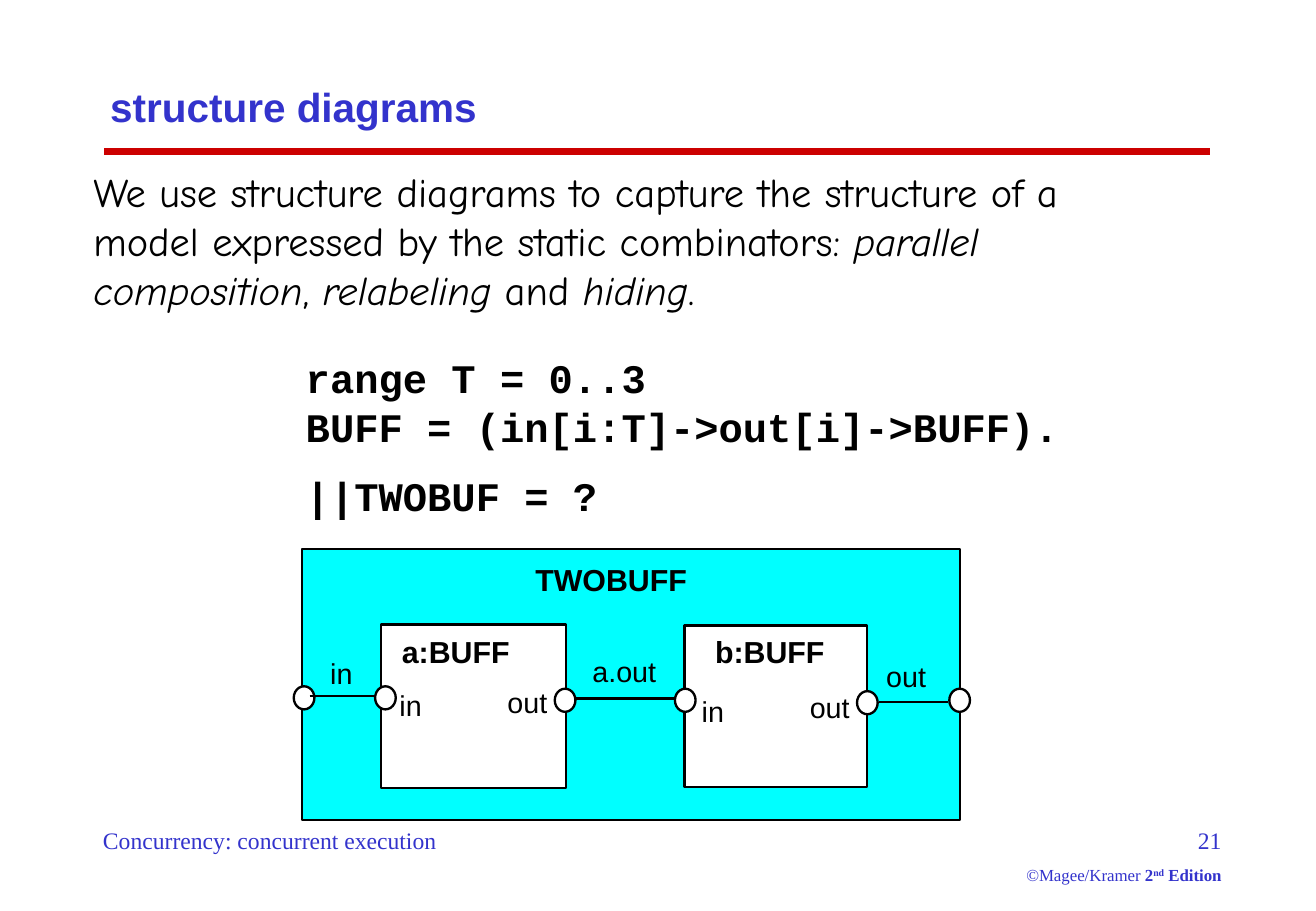
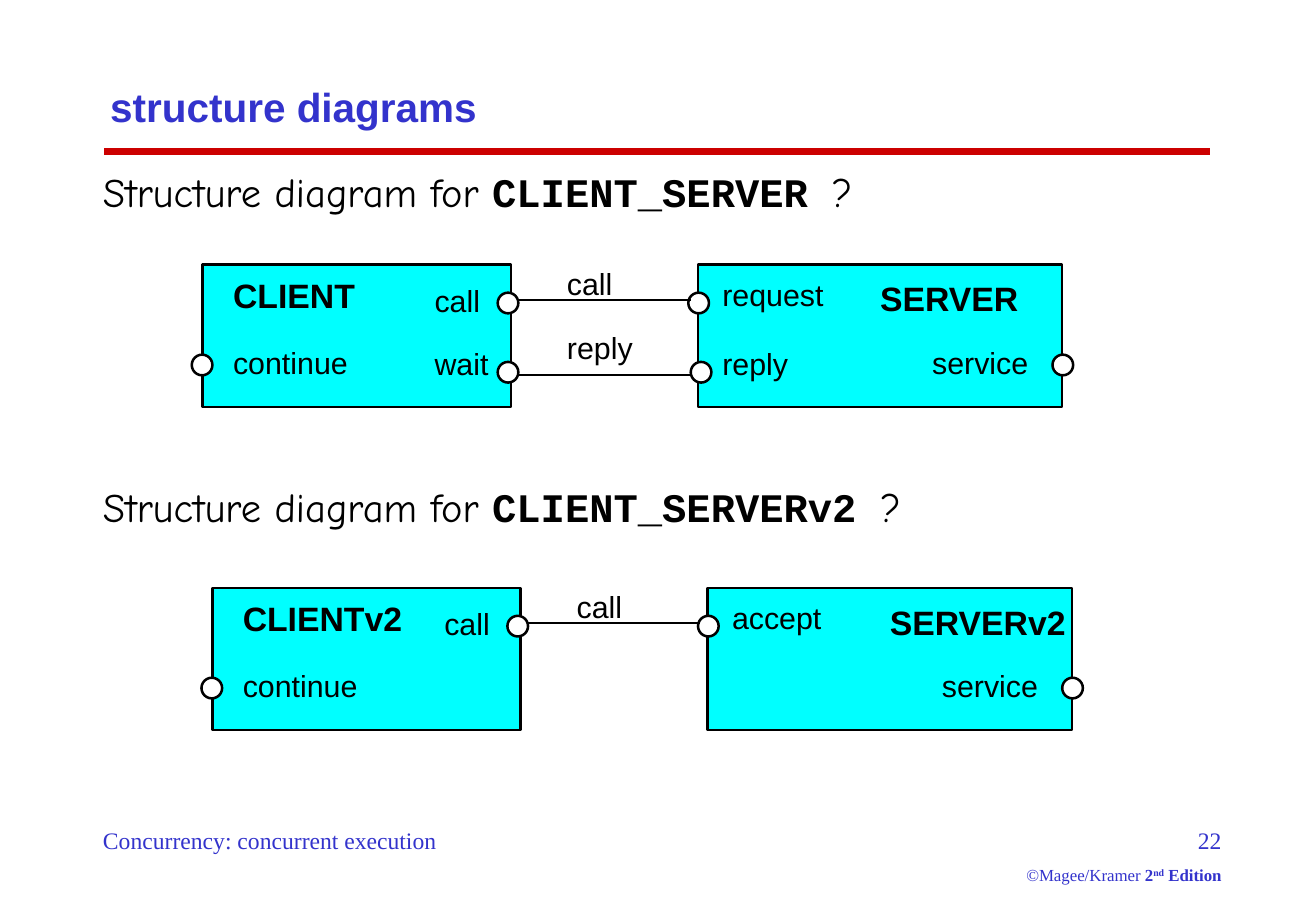
from lxml.etree import SubElement
from pptx import Presentation
from pptx.dml.color import RGBColor
from pptx.enum.shapes import MSO_CONNECTOR, MSO_SHAPE
from pptx.enum.text import MSO_ANCHOR, PP_ALIGN
from pptx.oxml.ns import qn
from pptx.util import Inches, Pt

COLORS = {"title": "3333CC", "rule": "CC0000", "ink": "000000", "block": "00FFFF", "white": "FFFFFF"}
TITLE = {"name": "Arial", "size": 24, "bold": True, "color": "title"}
FOOTER = {"name": "Times New Roman", "size": 14, "color": "title"}
CREDIT = {**FOOTER, "size": 10}
CREDIT_BOLD = {**CREDIT, "bold": True}
BODY = {"name": "Comic Neue", "size": 24, "color": "ink"}
EMPHASIS = {**BODY, "italic": True}
CODE = {"name": "Courier New", "size": 24, "bold": True, "color": "ink"}
PORT_LABEL = {"name": "Arial", "size": 17, "color": "ink"}
BLOCK_LABEL = {"name": "Arial", "size": 18, "bold": True, "color": "ink"}
ROLE_LABEL = {"name": "Arial", "size": 18, "color": "ink"}
ROLE_NAME = {"name": "Arial", "size": 20, "bold": True, "color": "ink"}
MARGINS = (0.1, 0.05)

INTRODUCTION = [
    ("We use structure diagrams to capture the structure of a model expressed by the static combinators: ", BODY),
    ("parallel composition", EMPHASIS), (", ", BODY), ("relabeling", EMPHASIS),
    (" and ", BODY), ("hiding", EMPHASIS), (".", BODY),
]
CODE_LINES = [("range T = 0..3", 0), ("BUFF = (in[i:T]->out[i]->BUFF).", 12), ("||TWOBUF = ?", 12)]

BUFFER_DIAGRAM = {
    "origin": (0, 0),
    "line": 1.39,
    "port": (0.17, 0.19),
    "wire_line": 1.39,
    "blocks": [(2.49, 4.52, 5.42, 2.23, "block"), (3.14, 5.14, 1.52, 1.35, "white"),
               (5.64, 5.15, 1.5, 1.33, "white")],
    "labels": [
        ("TWOBUFF", 4.41, 4.62, 1.5, BLOCK_LABEL), ("a:BUFF", 3.31, 5.21, 1.15, BLOCK_LABEL),
        ("b:BUFF", 5.89, 5.21, 1.15, BLOCK_LABEL), ("a.out", 4.88, 5.38, 0.7, PORT_LABEL),
        ("in", 2.72, 5.4, 0.35, PORT_LABEL), ("in", 3.29, 5.66, 0.35, PORT_LABEL),
        ("in", 5.78, 5.71, 0.35, PORT_LABEL), ("out", 4.18, 5.64, 0.45, PORT_LABEL),
        ("out", 6.67, 5.68, 0.45, PORT_LABEL), ("out", 7.3, 5.42, 0.45, PORT_LABEL),
    ],
    "ports": [(2.42, 5.65), (3.09, 5.65), (4.57, 5.67), (5.56, 5.67), (7.06, 5.69), (7.82, 5.67)],
    "wires": [(2.55, 3.1, 5.73), (4.73, 5.55, 5.75), (7.24, 7.81, 5.78)],
}

QUESTIONS = [
    {"model": "CLIENT_SERVER ", "top": 1.33, "origin": (1.67, 2.18),
     "client": "CLIENT", "server": "SERVER", "entry": "request", "has_reply": True},
    {"model": "CLIENT_SERVERv2 ", "top": 3.92, "origin": (1.75, 4.84),
     "client": "CLIENTv2", "server": "SERVERv2", "entry": "accept", "has_reply": False},
]


def role_diagram(question):
    diagram = {
        "origin": question["origin"],
        "line": 1.5,
        "port": (0.17, 0.17),
        "wire_line": 1,
        "blocks": [(0, 0, 2.54, 1.17, "block"), (4.08, 0, 3, 1.17, "block")],
        "labels": [
            (question["client"], 0.25, 0.08, 2, ROLE_NAME), ("call", 1.91, 0.14, 0.67, ROLE_LABEL),
            ("continue", 0.25, 0.65, 1.22, ROLE_LABEL), ("call", 3, 0, 0.92, ROLE_LABEL),
            (question["entry"], 4.28, 0.09, 1.22, ROLE_LABEL),
            (question["server"], 5.58, 0.11, 1.7, ROLE_NAME),
            ("service", 5.58, 0.65, 1.22, ROLE_LABEL, PP_ALIGN.RIGHT),
        ],
        "ports": [(-0.09, 0.74), (2.43, 0.23), (4, 0.23), (7, 0.74)],
        "wires": [(2.6, 4.02, 0.29)],
    }
    if question["has_reply"]:
        diagram["labels"] += [("wait", 1.91, 0.66, 0.83, ROLE_LABEL), ("reply", 3, 0.53, 0.92, ROLE_LABEL),
                              ("reply", 4.28, 0.66, 1.22, ROLE_LABEL)]
        diagram["ports"] += [(2.43, 0.8), (4.02, 0.8)]
        diagram["wires"] += [(2.6, 4.02, 0.91)]
    return diagram


def color(name):
    return RGBColor.from_string(COLORS[name])


def add_run(paragraph, text, style):
    run = paragraph.add_run()
    run.text = text
    for attribute, value in style.items():
        if attribute == "color":
            run.font.color.rgb = color(value)
        elif attribute == "size":
            run.font.size = Pt(value)
        else:
            setattr(run.font, attribute, value)


def add_text(shapes, box, paragraphs, margins=MARGINS, anchor=MSO_ANCHOR.TOP):
    frame = shapes.add_textbox(*map(Inches, box)).text_frame
    horizontal, vertical = map(Inches, margins)
    settings = {"word_wrap": True, "vertical_anchor": anchor, "margin_left": horizontal,
                "margin_right": horizontal, "margin_top": vertical, "margin_bottom": vertical}
    for attribute, value in settings.items():
        setattr(frame, attribute, value)
    for index, (runs, layout) in enumerate(paragraphs):
        paragraph = frame.add_paragraph() if index else frame.paragraphs[0]
        for attribute, value in layout.items():
            setattr(paragraph, attribute, value)
        for text, style in runs:
            add_run(paragraph, text, style)
    return frame


def add_line(shapes, start, end, top, line_color, width):
    connector = shapes.add_connector(MSO_CONNECTOR.STRAIGHT, Inches(start), Inches(top), Inches(end), Inches(top))
    connector.line.color.rgb = color(line_color)
    connector.line.width = Pt(width)
    SubElement(connector._element.spPr, qn("a:effectLst"))


def add_outline(shapes, kind, box, fill, width):
    shape = shapes.add_shape(kind, *map(Inches, box))
    shape.shadow.inherit = False
    shape.fill.solid()
    shape.fill.fore_color.rgb = color(fill)
    shape.line.color.rgb = color("ink")
    shape.line.width = Pt(width)


def add_diagram(slide, diagram):
    shapes = slide.shapes.add_group_shape().shapes
    left, top = diagram["origin"]
    for x, y, width, height, fill in diagram["blocks"]:
        add_outline(shapes, MSO_SHAPE.RECTANGLE, (left + x, top + y, width, height), fill, diagram["line"])
    for text, x, y, width, style, *alignment in diagram["labels"]:
        layout = {"alignment": alignment[0] if alignment else PP_ALIGN.LEFT}
        box = (left + x, top + y, width, style["size"] / 60)
        add_text(shapes, box, [([(text, style)], layout)], (0, 0))
    for x, y in diagram["ports"]:
        add_outline(shapes, MSO_SHAPE.OVAL, (left + x, top + y, *diagram["port"]), "white", diagram["line"])
    for start, end, y in diagram["wires"]:
        add_line(shapes, left + start, left + end, top + y, "ink", diagram["wire_line"])


def add_slide(presentation, number):
    slide = presentation.slides.add_slide(presentation.slide_layouts[6])
    shapes = slide.shapes
    add_line(shapes, 0.86, 9.97, 1.25, "rule", 4)
    add_text(shapes, (0.81, 0.5, 9.27, 0.75), [([("structure diagrams", TITLE)], {})], anchor=MSO_ANCHOR.MIDDLE)
    add_text(shapes, (0.75, 6.75, 3.42, 0.34), [([("Concurrency: concurrent execution", FOOTER)], {})])
    credit = [("©Magee/Kramer ", CREDIT), ("2", CREDIT_BOLD), ("nd", CREDIT_BOLD), (" Edition", CREDIT_BOLD)]
    frame = add_text(shapes, (8.25, 6.75, 1.91, 0.59), [
        ([(str(number), FOOTER)], {"alignment": PP_ALIGN.RIGHT}),
        (credit, {"alignment": PP_ALIGN.RIGHT, "space_before": Pt(6.2)}),
    ])
    frame.paragraphs[1].runs[2].font._element.set("baseline", "30000")
    return slide


def main():
    presentation = Presentation()
    presentation.slide_width = Inches(10.84)
    presentation.slide_height = Inches(7.5)

    buffers = add_slide(presentation, 21)
    add_text(buffers.shapes, (0.67, 1.33, 8.58, 1.3), [(INTRODUCTION, {})])
    add_text(buffers.shapes, (2.42, 2.86, 7.42, 1.47),
             [([(line, CODE)], {"space_after": Pt(after)}) for line, after in CODE_LINES])
    add_diagram(buffers, BUFFER_DIAGRAM)

    roles = add_slide(presentation, 22)
    for question in QUESTIONS:
        runs = [("Structure diagram for ", BODY), (question["model"], CODE), ("?", BODY)]
        add_text(roles.shapes, (0.75, question["top"], 9.25, 0.5), [(runs, {})])
        add_diagram(roles, role_diagram(question))

    presentation.save("out.pptx")


if __name__ == "__main__":
    main()
